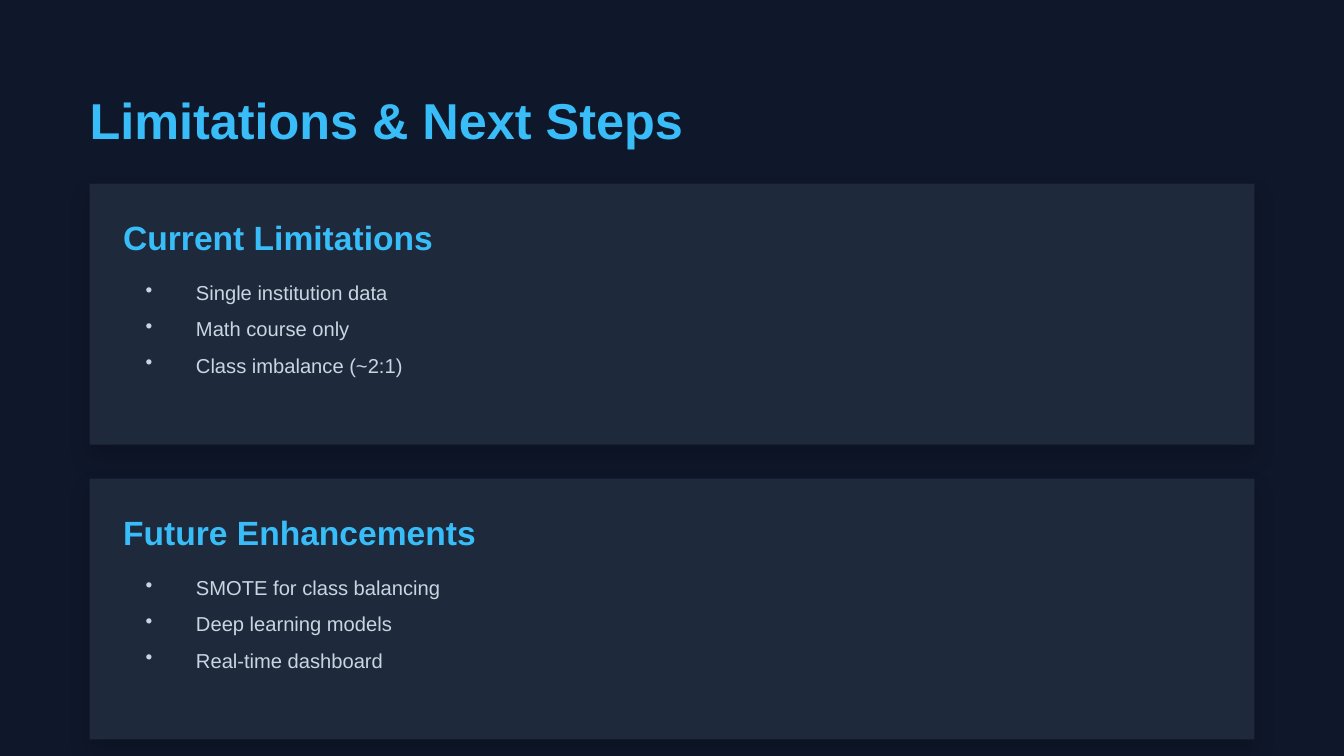
from dataclasses import dataclass

from lxml.etree import SubElement
from pptx import Presentation
from pptx.dml.color import RGBColor
from pptx.enum.shapes import MSO_SHAPE
from pptx.oxml.ns import qn
from pptx.util import Pt


@dataclass(frozen=True)
class Theme:
    font: str = "Arial"
    background: str = "0F172A"
    panel: str = "1E293B"
    accent: str = "38BDF8"
    body: str = "CBD5E1"
    shadow: str = "000000"
    title_size: float = 27
    heading_size: float = 18
    body_size: float = 10.8


def write_lines(frame, lines, *, size, color, font, spacing, bold=False, bullet_indent=None):
    """Fill a text frame with one paragraph per line, bulleted if an indent is given."""
    for index, line in enumerate(lines):
        paragraph = frame.paragraphs[0] if index == 0 else frame.add_paragraph()
        if bullet_indent:
            properties = paragraph._p.get_or_add_pPr()
            properties.set("marL", str(Pt(bullet_indent)))
            properties.set("indent", str(-Pt(bullet_indent)))
            SubElement(properties, qn("a:buChar"), char="•")
        paragraph.line_spacing = Pt(spacing)
        run = paragraph.add_run()
        run.text = line
        run.font.name = font
        run.font.size = Pt(size)
        run.font.bold = bold
        run.font.color.rgb = RGBColor.from_string(color)


class SlideBuilder:
    def __init__(self, slide, theme):
        self.slide = slide
        self.theme = theme
        fill = slide.background.fill
        fill.solid()
        fill.fore_color.rgb = RGBColor.from_string(theme.background)

    def panel(self, left, top, width, height):
        panel = self.slide.shapes.add_shape(
            MSO_SHAPE.RECTANGLE, Pt(left), Pt(top), Pt(width), Pt(height))
        panel.fill.solid()
        panel.fill.fore_color.rgb = RGBColor.from_string(self.theme.panel)
        panel.line.fill.background()
        self.drop_shadow(panel)

    def drop_shadow(self, panel):
        """Give the panel a soft, 20 % opaque shadow straight below it."""
        panel.shadow.inherit = False
        effects = panel._element.spPr.find(qn("a:effectLst"))
        shadow = SubElement(effects, qn("a:outerShdw"), blurRad=str(Pt(12)),
                            dist=str(Pt(6)), dir="5400000", algn="bl", rotWithShape="0")
        color = SubElement(shadow, qn("a:srgbClr"), val=self.theme.shadow)
        SubElement(color, qn("a:alpha"), val="20000")

    def text(self, lines, left, top, width, height, **style):
        frame = self.slide.shapes.add_textbox(
            Pt(left), Pt(top), Pt(width), Pt(height)).text_frame
        frame.word_wrap = True
        frame.margin_left = frame.margin_right = frame.margin_top = frame.margin_bottom = 0
        write_lines(frame, lines, font=self.theme.font, **style)

    def heading(self, wording, left, top, width, size):
        line_height = size * 1.2
        self.text([wording], left, top, width, line_height, size=size,
                  color=self.theme.accent, spacing=line_height, bold=True)

    def bullets(self, items, left, top, width, height):
        self.text(items, left, top, width, height, size=self.theme.body_size,
                  color=self.theme.body, spacing=19.44, bullet_indent=27)


SECTIONS = {
    "Current Limitations": [
        "Single institution data", "Math course only", "Class imbalance (~2:1)"],
    "Future Enhancements": [
        "SMOTE for class balancing", "Deep learning models", "Real-time dashboard"],
}
MARGIN = 48
PANEL_TOP, PANEL_WIDTH, PANEL_HEIGHT, PANEL_GAP = 98.4, 624, 139.8, 18.2


def main():
    presentation = Presentation()
    presentation.slide_width, presentation.slide_height = Pt(720), Pt(405)
    theme = Theme()
    builder = SlideBuilder(
        presentation.slides.add_slide(presentation.slide_layouts[6]), theme)

    panel_tops = [PANEL_TOP + row * (PANEL_HEIGHT + PANEL_GAP) for row in range(len(SECTIONS))]
    for top in panel_tops:
        builder.panel(MARGIN, top, PANEL_WIDTH, PANEL_HEIGHT)

    builder.heading("Limitations & Next Steps", MARGIN, 48, 636.5, theme.title_size)
    for top, (heading, items) in zip(panel_tops, SECTIONS.items()):
        builder.heading(heading, MARGIN + 18, top + 18, 600, theme.heading_size)
        builder.bullets(items, MARGIN + 30, top + 45.4, 576, 76.3)

    presentation.save("out.pptx")


if __name__ == "__main__":
    main()
